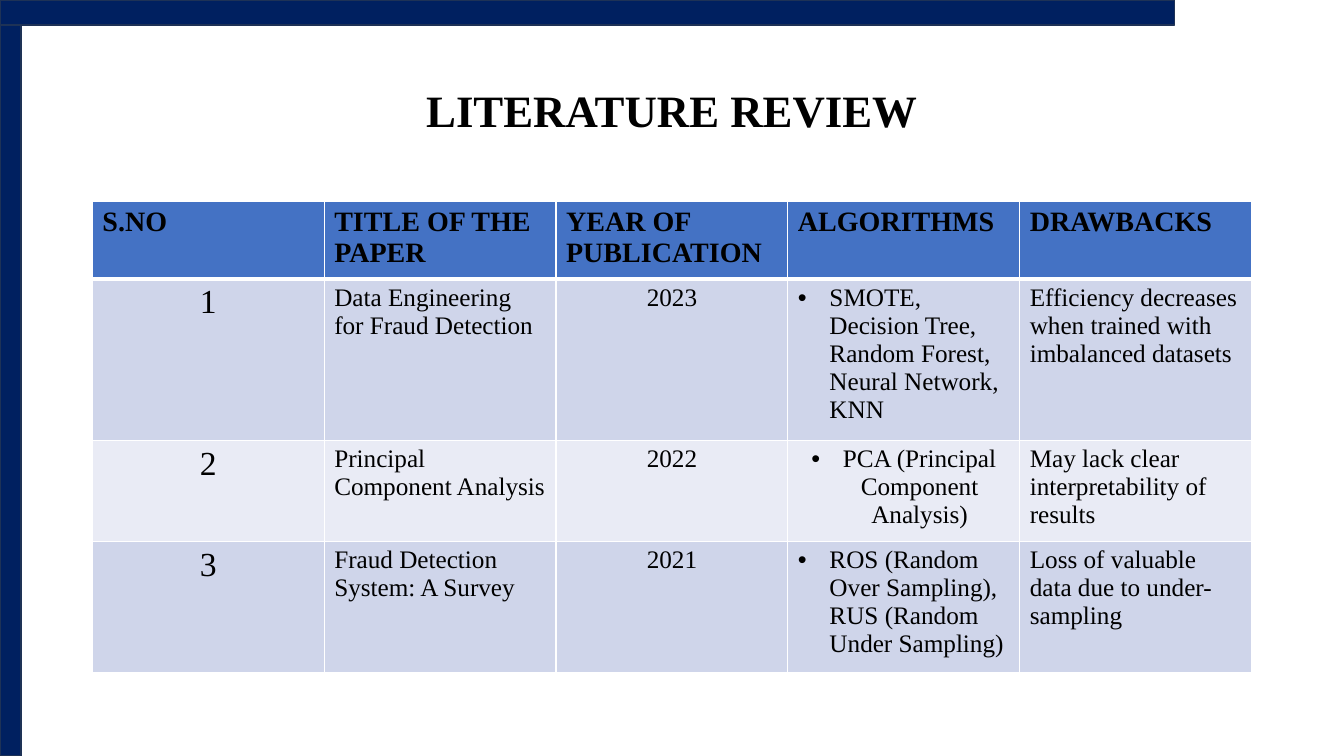
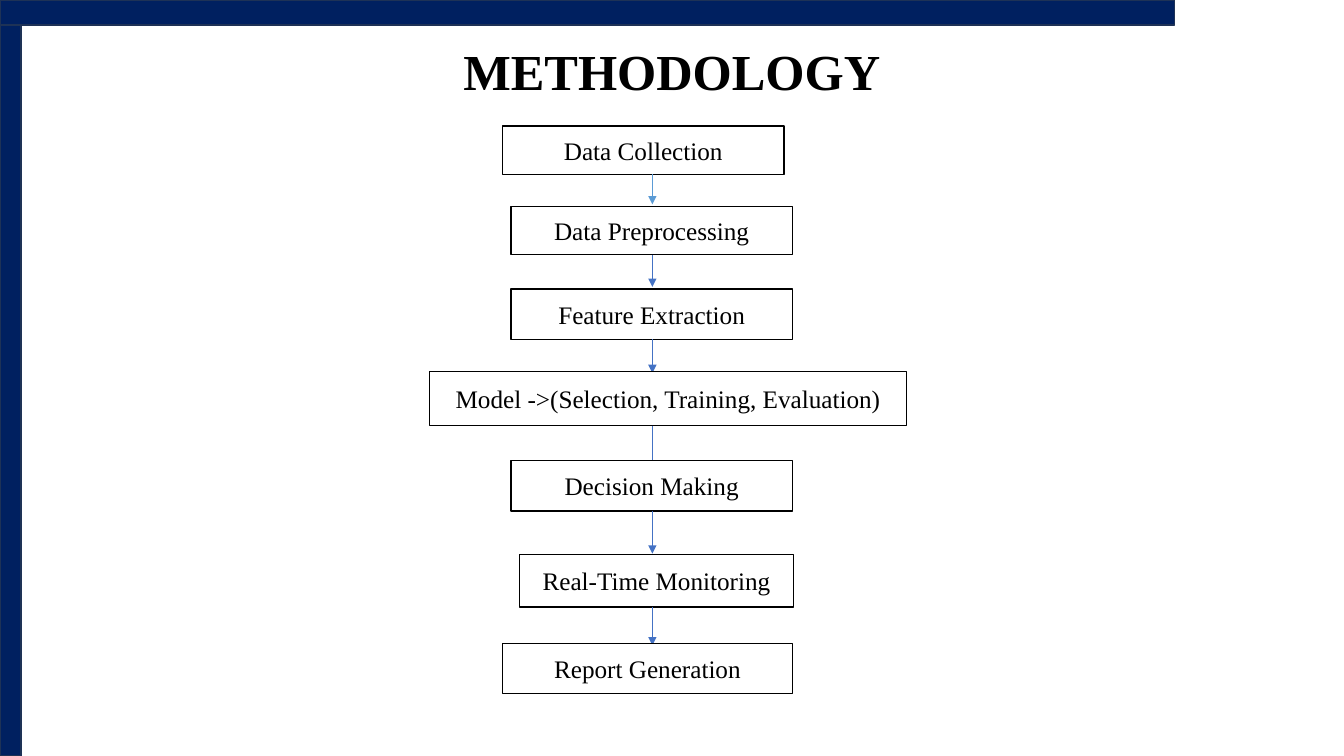
from lxml import etree
from pptx import Presentation
from pptx.dml.color import RGBColor
from pptx.enum.shapes import MSO_CONNECTOR, MSO_SHAPE
from pptx.enum.text import MSO_ANCHOR, PP_ALIGN
from pptx.oxml.ns import qn
from pptx.util import Pt

RECTANGLE, PROCESS = MSO_SHAPE.RECTANGLE, MSO_SHAPE.FLOWCHART_PROCESS
STRAIGHT = MSO_CONNECTOR.STRAIGHT
LEFT, CENTER = PP_ALIGN.LEFT, PP_ALIGN.CENTER
MIDDLE = MSO_ANCHOR.MIDDLE

FONT = "Times New Roman"
COLORS = {
    "band": "002060", "band_line": "1E3256", "text": "000000",
    "white": "FFFFFF", "header": "4472C4", "odd_row": "CFD5EA",
    "even_row": "E9EBF5", "arrow": "4472C4", "first_arrow": "5B9BD5",
}
MARGIN, CONTENT_WIDTH = 66, 828
BULLET_INDENT = 22.5

# Literature table
HEADERS = ["S.NO", "TITLE OF THE PAPER", "YEAR OF PUBLICATION",
           "ALGORITHMS", "DRAWBACKS"]
PAPERS = [
    ["1", "Data Engineering for Fraud Detection", "2023",
     "SMOTE, Decision Tree, Random Forest, Neural Network, KNN",
     "Efficiency decreases when trained with imbalanced datasets"],
    ["2", "Principal Component Analysis", "2022",
     "PCA (Principal Component Analysis)",
     "May lack clear interpretability of results"],
    ["3", "Fraud Detection System: A Survey", "2021",
     "ROS (Random Over Sampling), RUS (Random Under Sampling)",
     "Loss of valuable data due to under-sampling"],
]
ROW_HEIGHTS = [50.5, 107, 67, 86.5]
NUMBER, YEAR, ALGORITHMS = 0, 2, 3
CENTERED_PAPER = 2  # the paper whose algorithm is centred

# Method steps: text, left, top, width, height, end of the arrow below
STEPS = [
    ("Data Collection", 359, 90, 201, 34.5, 146),
    ("Data Preprocessing", 365, 147.5, 201, 34.5, 205),
    ("Feature Extraction", 365, 206.5, 201, 36, 266.5),
    ("Model ->(Selection, Training, Evaluation)",
     307, 265.5, 340.5, 38.5, 335.5),
    ("Decision Making", 365, 329, 201, 36, 395.5),
    ("Real-Time Monitoring", 371, 396, 196, 37.5, 461),
    ("Report Generation", 359, 459.5, 207, 36, None),
]
ARROW_X = 466


def color(name):
    return RGBColor.from_string(COLORS[name])


def write(frame, text, size=18, bold=False, align=LEFT, spacing=None,
          bullet=False):
    frame.word_wrap = True
    para = frame.paragraphs[0]
    para.alignment = align
    if spacing:
        para.line_spacing = spacing
    if bullet:
        properties = para._p.get_or_add_pPr()
        properties.set("marL", str(Pt(BULLET_INDENT)))
        properties.set("indent", str(-Pt(BULLET_INDENT)))
        etree.SubElement(properties, qn("a:buFont"), typeface="Arial")
        etree.SubElement(properties, qn("a:buChar"), char="•")
    span = para.add_run()
    span.text = text
    span.font.name = FONT
    span.font.size = Pt(size)
    span.font.bold = bold
    span.font.color.rgb = color("text")


def add_box(page, kind, left, top, width, height, fill, line):
    box = page.shapes.add_shape(kind, Pt(left), Pt(top), Pt(width), Pt(height))
    box.shadow.inherit = False
    box.fill.solid()
    box.fill.fore_color.rgb = color(fill)
    box.line.color.rgb = color(line)
    box.line.width = Pt(1)
    return box


def add_arrow(page, x, top, bottom, line):
    arrow = page.shapes.add_connector(STRAIGHT, Pt(x), Pt(top), Pt(x), Pt(bottom))
    arrow.line.color.rgb = color(line)
    arrow.line.width = Pt(0.5)
    etree.SubElement(arrow.line._get_or_add_ln(), qn("a:tailEnd"), type="triangle")
    etree.SubElement(arrow._element.spPr, qn("a:effectLst"))


def add_page(deck, title, title_height, title_size):
    page = deck.slides.add_slide(deck.slide_layouts[6])
    # Bands on the left and top edges
    for width, height in ((15, 540), (839, 18)):
        add_box(page, RECTANGLE, 0, 0, width, height, "band", "band_line")
    # Title
    box = page.shapes.add_textbox(Pt(MARGIN), Pt(29), Pt(CONTENT_WIDTH),
                                  Pt(title_height))
    box.text_frame.vertical_anchor = MIDDLE
    write(box.text_frame, title, size=title_size, bold=True, align=CENTER,
          spacing=0.9)
    return page


def style_cell(cell, fill, bottom_width):
    cell.fill.solid()
    cell.fill.fore_color.rgb = color(fill)
    properties = cell._tc.get_or_add_tcPr()
    widths = {"a:lnL": 1, "a:lnR": 1, "a:lnT": 1, "a:lnB": bottom_width}
    for position, (side, width) in enumerate(widths.items()):
        border = etree.Element(qn(side), w=str(Pt(width)))
        solid = etree.SubElement(border, qn("a:solidFill"))
        etree.SubElement(solid, qn("a:srgbClr"), val=COLORS["white"])
        properties.insert(position, border)


def cell_format(row, column):
    if row == 0:
        return {"size": 20, "bold": True}
    centered = column in (NUMBER, YEAR) or (row, column) == (
        CENTERED_PAPER, ALGORITHMS)
    return {"size": 24 if column == NUMBER else 18,
            "align": CENTER if centered else LEFT,
            "bullet": column == ALGORITHMS}


def add_literature_table(page):
    rows = [HEADERS] + PAPERS
    table = page.shapes.add_table(
        len(rows), len(HEADERS), Pt(MARGIN), Pt(144), Pt(CONTENT_WIDTH),
        Pt(sum(ROW_HEIGHTS))).table
    for row, texts in enumerate(rows):
        table.rows[row].height = Pt(ROW_HEIGHTS[row])
        fill = "header" if row == 0 else "odd_row" if row % 2 else "even_row"
        for column, text in enumerate(texts):
            cell = table.cell(row, column)
            style_cell(cell, fill, 3 if row == 0 else 1)
            write(cell.text_frame, text, **cell_format(row, column))


def add_flow(page):
    for index, (text, left, top, width, height, arrow_end) in enumerate(STEPS):
        box = add_box(page, PROCESS, left, top, width, height, "white", "text")
        box.text_frame.vertical_anchor = MIDDLE
        write(box.text_frame, text, align=CENTER)
        if arrow_end:
            add_arrow(page, ARROW_X, top + height, arrow_end,
                      "arrow" if index else "first_arrow")


def main():
    deck = Presentation()
    deck.slide_width, deck.slide_height = Pt(960), Pt(540)
    add_literature_table(add_page(deck, "LITERATURE REVIEW", 104, 32))
    add_flow(add_page(deck, "METHODOLOGY", 48, 36))
    deck.save("out.pptx")


if __name__ == "__main__":
    main()
